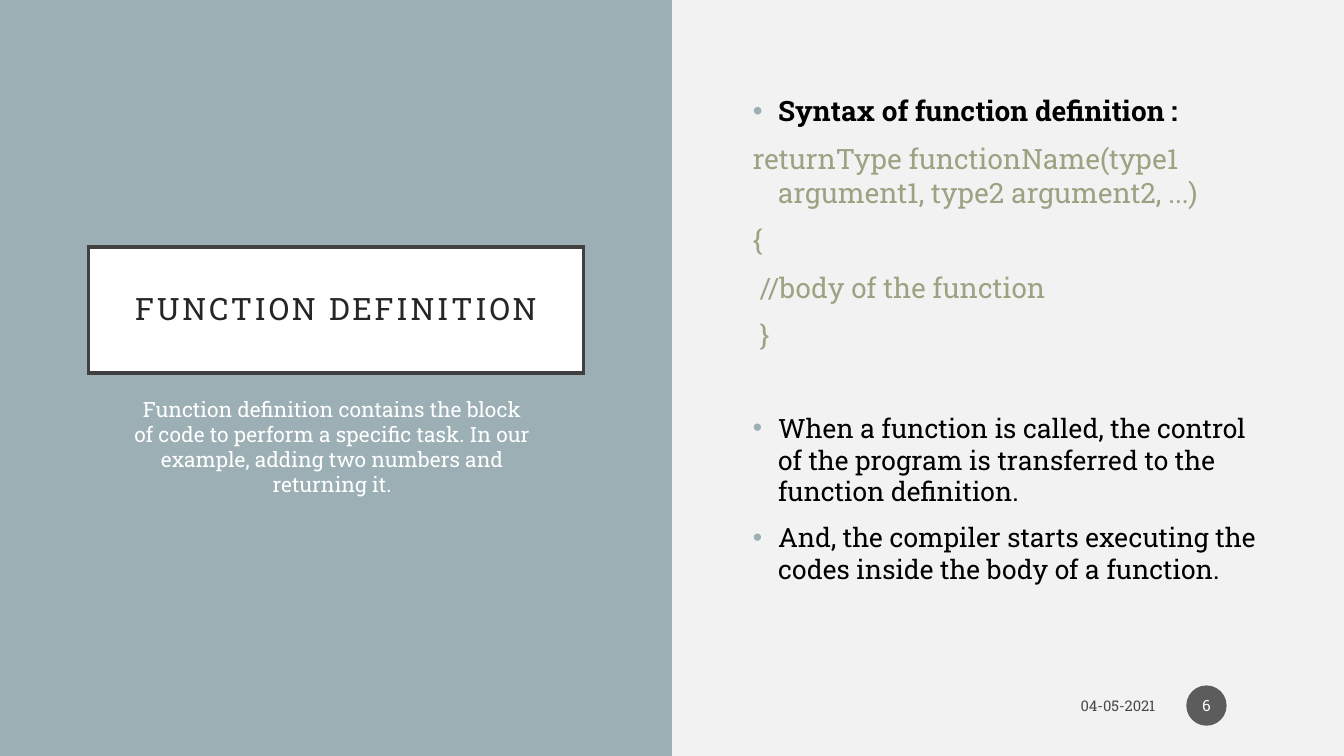
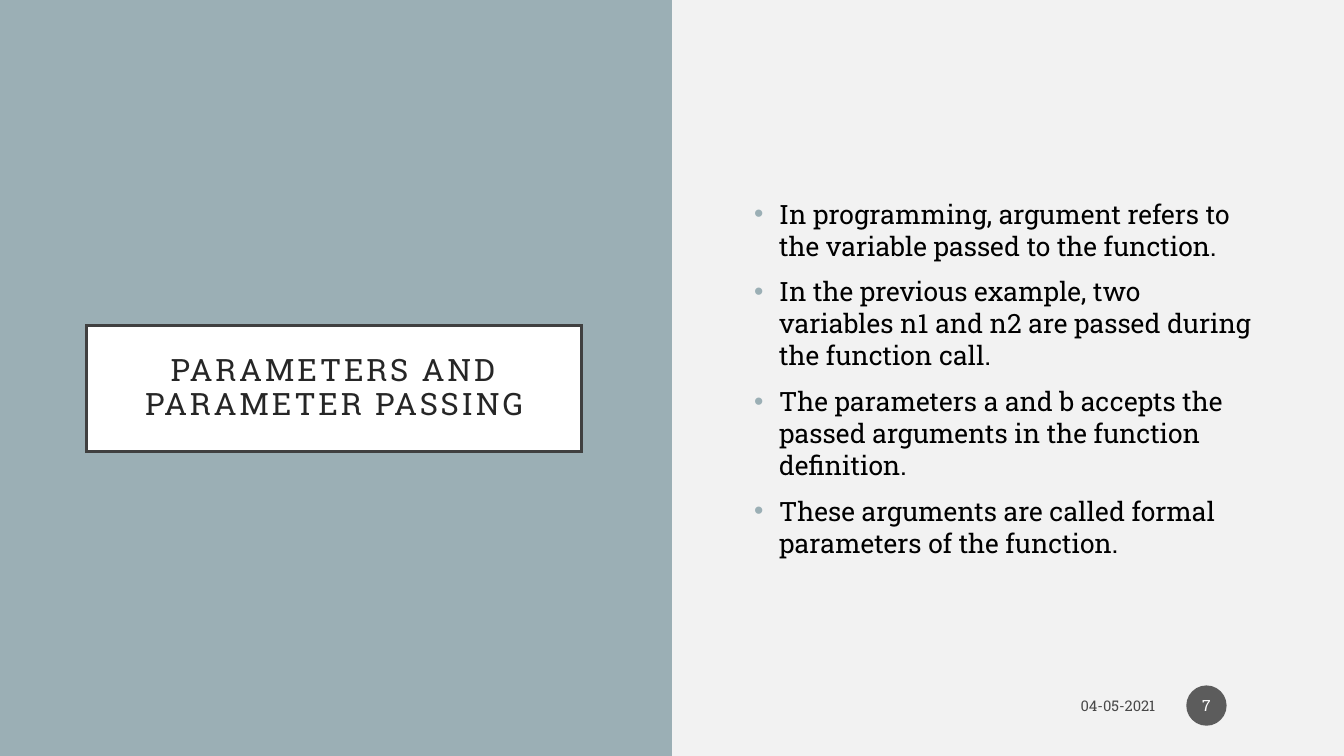
from dataclasses import dataclass

import lxml.etree
import pptx
import pptx.dml.color
import pptx.enum.shapes
import pptx.enum.text
import pptx.oxml.ns
import pptx.util

Pt = pptx.util.Pt
ALIGN = pptx.enum.text.PP_ALIGN
SHAPE = pptx.enum.shapes.MSO_SHAPE
qn = pptx.oxml.ns.qn


@dataclass(frozen=True)
class Theme:
    """Colours, font and type sizes of the deck."""
    font: str = "Roboto Slab"
    page: str = "F2F2F2"
    band: str = "9BAFB5"
    white: str = "FFFFFF"
    frame: str = "404040"
    title: str = "262626"
    text: str = "000000"
    code: str = "9CA383"
    badge: str = "1D1D1D"
    title_size: float = 22
    lead_size: float = 20
    list_size: float = 19
    note_size: float = 15
    date_size: float = 10.5
    page_size: float = 11
    leading: float = 0.9
    gap: float = 10
    indent: float = 18
    alpha: int = 70


THEME = Theme()
DATE = "04-05-2021"


@dataclass
class Item:
    """One paragraph of a list."""
    text: str
    size: float = THEME.list_size
    color: str = THEME.text
    bold: bool = False
    bullet: bool = True
    gap: float = THEME.gap


def code(text):
    """Return a list item that shows a line of code."""
    return Item(text, THEME.lead_size, THEME.code, bullet=False)


def rgb(color):
    """Turn a hex string into a colour."""
    return pptx.dml.color.RGBColor.from_string(color)


def place(shape, box):
    """Move and size a shape."""
    shape.left, shape.top, shape.width, shape.height = map(Pt, box)


def fade(shape):
    """Make the colours set on a shape partly clear."""
    for color in shape.element.iter(qn("a:srgbClr")):
        lxml.etree.SubElement(color, qn("a:alpha"), val=str(THEME.alpha * 1000))


def add_run(para, text, size, color, bold=False):
    """Add a run of text in the deck font."""
    run = para.add_run()
    run.text = text
    run.font.name = THEME.font
    run.font.size = Pt(size)
    run.font.bold = bold
    run.font.color.rgb = rgb(color)
    return run


def set_frame(shape, inset=(7.2, 3.6), middle=False):
    """Set wrap, insets and anchor, and return the text frame."""
    frame = shape.text_frame
    frame.word_wrap = True
    frame.auto_size = pptx.enum.text.MSO_AUTO_SIZE.NONE
    anchor = pptx.enum.text.MSO_ANCHOR
    frame.vertical_anchor = anchor.MIDDLE if middle else anchor.TOP
    frame.margin_left = frame.margin_right = Pt(inset[0])
    frame.margin_top = frame.margin_bottom = Pt(inset[1])
    return frame


def set_para(para, gap, indent=0, bullet=False):
    """Set the spacing, hanging indent and bullet of a paragraph."""
    para.line_spacing = 1.0
    para.space_before = Pt(gap)
    para.space_after = Pt(0)
    props = para._p.get_or_add_pPr()
    props.set("marL", str(Pt(indent)))
    props.set("indent", str(-Pt(indent)))
    if not bullet:
        lxml.etree.SubElement(props, qn("a:buNone"))
        return
    color = lxml.etree.SubElement(props, qn("a:buClr"))
    lxml.etree.SubElement(color, qn("a:srgbClr"), val=THEME.band)
    lxml.etree.SubElement(props, qn("a:buFont"), typeface="Arial")
    lxml.etree.SubElement(props, qn("a:buChar"), char="\u2022")


def add_shape(slide, kind, box, color):
    """Add a plain filled shape."""
    shape = slide.shapes.add_shape(kind, *map(Pt, box))
    shape.shadow.inherit = False
    shape.fill.solid()
    shape.fill.fore_color.rgb = rgb(color)
    shape.line.fill.background()
    return shape


def add_page(deck, layout):
    """Add a slide with the left band behind its placeholders."""
    slide = deck.slides.add_slide(deck.slide_layouts.get_by_name(layout))
    band = add_shape(slide, SHAPE.RECTANGLE, (0, 0, 480, 540), THEME.band)
    slide.shapes.element.insert(2, band.element)
    return slide


def set_title(slide, text, left, top):
    """Fill the framed title box."""
    title = slide.shapes.title
    place(title, (left, top, 353.5, 90))
    title.fill.solid()
    title.fill.fore_color.rgb = rgb(THEME.white)
    title.line.color.rgb = rgb(THEME.frame)
    title.line.width = Pt(2.5)
    edge = title.element.spPr.find(qn("a:ln"))
    lxml.etree.SubElement(edge, qn("a:miter"), lim="800000")
    para = set_frame(title, (14.4, 14.4), True).paragraphs[0]
    para.alignment = ALIGN.CENTER
    para.line_spacing = THEME.leading
    run = add_run(para, text, THEME.title_size, THEME.title)
    run._r.get_or_add_rPr().set("spc", "200")


def set_list(slide, items, box):
    """Fill the list on the right half."""
    body = slide.placeholders[1]
    place(body, box)
    frame = set_frame(body)
    for pos, item in enumerate(items):
        para = frame.add_paragraph() if pos else frame.paragraphs[0]
        set_para(para, item.gap, THEME.indent, item.bullet)
        add_run(para, item.text, item.size, item.color, item.bold)


def set_note(slide, text):
    """Fill the note below the title."""
    note = slide.placeholders[2]
    place(note, (87.84, 279.36, 298.8, 172.8))
    para = set_frame(note).paragraphs[0]
    set_para(para, THEME.gap)
    para.alignment = ALIGN.CENTER
    add_run(para, text, THEME.note_size, THEME.white)


def add_footer(slide, number):
    """Add the date and the round page badge."""
    date = slide.shapes.add_textbox(Pt(615.6), Pt(491.3), Pt(216.7), Pt(25.2))
    para = set_frame(date, middle=True).paragraphs[0]
    para.alignment = ALIGN.RIGHT
    add_run(para, DATE, THEME.date_size, THEME.text)
    fade(date)

    badge = add_shape(slide, SHAPE.OVAL, (847.4, 489.6, 28.8, 28.8), THEME.badge)
    fade(badge)
    para = set_frame(badge, (1.44, 3.6), True).paragraphs[0]
    para.alignment = ALIGN.CENTER
    add_run(para, str(number), THEME.page_size, THEME.white)


def add_define(deck):
    """Build the slide on function definition."""
    slide = add_page(deck, "Two Content")
    set_title(slide, "FUNCTION DEFINITION", 63.36, 176.6)
    set_list(slide, [
        Item("Syntax of function definition :", THEME.lead_size, bold=True),
        code("returnType functionName(type1 argument1, type2 argument2, ...)"),
        code("{"),
        code(" //body of the function"),
        code(" }"),
        Item("When a function is called, the control of the program is "
             "transferred to the function definition.", gap=42.9),
        Item("And, the compiler starts executing the codes inside the body "
             "of a function."),
    ], (530.6, 63.4, 379.4, 413.3))
    set_note(slide, "Function definition contains the block of code to perform "
                    "a specific task. In our example, adding two numbers and "
                    "returning it.")
    add_footer(slide, 6)


def add_params(deck):
    """Build the slide on parameters."""
    slide = add_page(deck, "Title and Content")
    set_title(slide, "PARAMETERS AND PARAMETER PASSING", 61.92, 232.6)
    set_list(slide, [
        Item("In programming, argument refers to the variable passed to the "
             "function."),
        Item("In the previous example, two variables\u00a0n1\u00a0and\u00a0n2"
             "\u00a0are passed during the function call."),
        Item("The parameters\u00a0a\u00a0and\u00a0b\u00a0accepts the passed "
             "arguments in the function definition."),
        Item("These arguments are called formal parameters of the function."),
    ], (531.4, 137.5, 379.4, 279.4))
    add_footer(slide, 7)


def main():
    """Build and save the deck."""
    deck = pptx.Presentation()
    deck.slide_width, deck.slide_height = Pt(960), Pt(540)
    fill = deck.slide_master.background.fill
    fill.solid()
    fill.fore_color.rgb = rgb(THEME.page)
    add_define(deck)
    add_params(deck)
    deck.save("out.pptx")


main()
